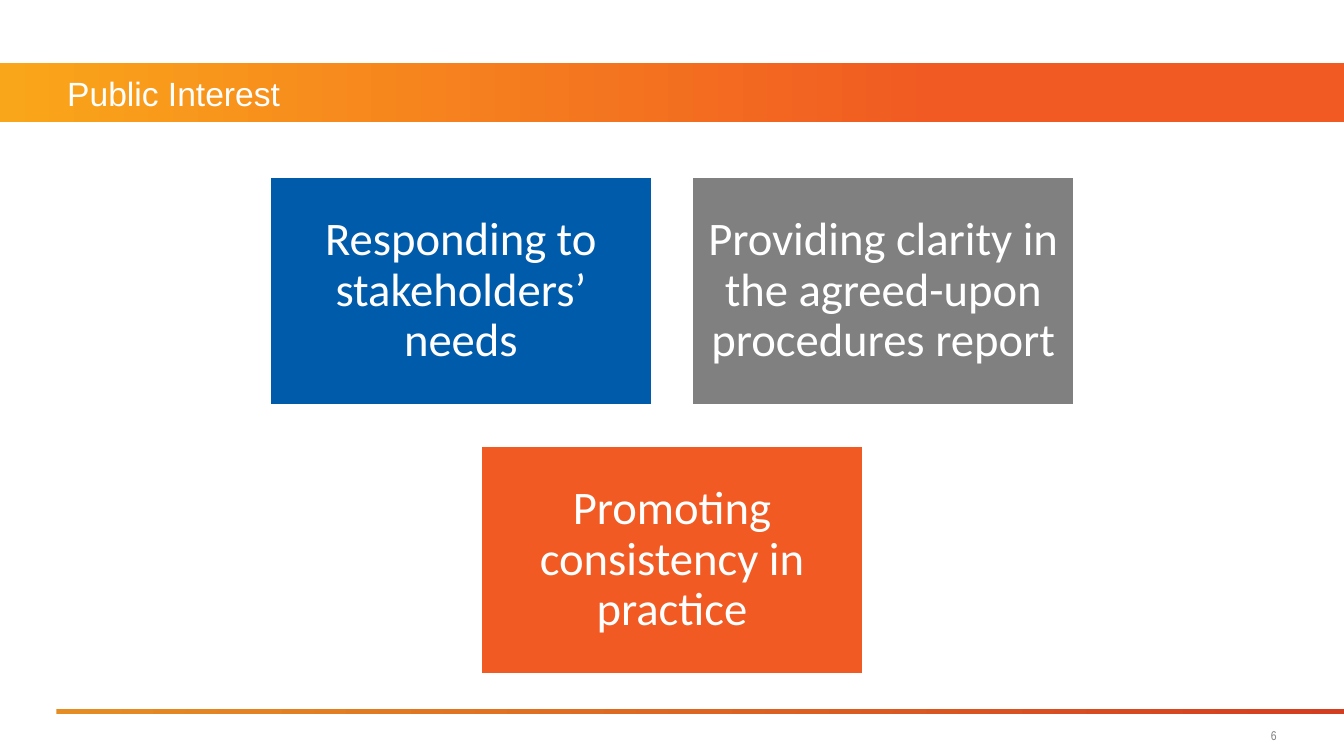
from pptx import Presentation
from pptx.dml.color import RGBColor
from pptx.enum.shapes import MSO_SHAPE
from pptx.enum.text import MSO_ANCHOR, MSO_AUTO_SIZE, PP_ALIGN
from pptx.util import Inches, Pt

W = Inches(10)
H = W * 9 // 16
COLORS = {
    "white": "FFFFFF", "amber": "FAA61A", "orange": "F15A22", "blue": "005BAA",
    "gray": "808080", "ochre": "E58D23", "red": "D53D20",
}
TITLE = {"size": Pt(18), "name": "Arial", "bold": False}
CARD = {"size": Pt(25), "name": "Calibri"}
NUMBER = {"size": Pt(6.8), "name": "Arial Narrow"}
CARDS = [
    [("Responding to stakeholders’ needs", "blue"),
     ("Providing clarity in the agreed-upon procedures report", "gray")],
    [("Promoting consistency in practice", "orange")],
]


def rgb(name):
    return RGBColor.from_string(COLORS[name])


def percent(x, y, w, h):
    return tuple(int(side * n / 100) for side, n in zip((W, H, W, H), (x, y, w, h)))


def place(sp, box):
    for key, value in zip(("left", "top", "width", "height"), box):
        setattr(sp, key, value)


def write(sp, text, font, color, align, inset=0):
    tf = sp.text_frame
    frame = {"word_wrap": True, "auto_size": MSO_AUTO_SIZE.NONE,
             "vertical_anchor": MSO_ANCHOR.MIDDLE}
    frame.update({f"margin_{side}": inset for side in ("left", "top", "right", "bottom")})
    for key, value in frame.items():
        setattr(tf, key, value)
    p = tf.paragraphs[0]
    p.alignment = align
    r = p.add_run()
    r.text = text
    for key, value in font.items():
        setattr(r.font, key, value)
    r.font.color.rgb = rgb(color)
    return p


def add_rect(s, box):
    sp = s.shapes.add_shape(MSO_SHAPE.RECTANGLE, *box)
    sp.shadow.inherit = False
    return sp


def add_band(s, box, stops):
    sp = add_rect(s, box)
    sp.line.fill.background()
    sp.fill.gradient()
    sp.fill.gradient_angle = 0
    for stop, (position, color) in zip(sp.fill.gradient_stops, stops):
        stop.position = position
        stop.color.rgb = rgb(color)


def add_header(s, box, text):
    add_band(s, box, [(0, "amber"), (0.7, "orange")])
    x, y, w, h = box
    title = s.shapes.title
    place(title, (x + w // 20, y, w * 9 // 10, h))
    write(title, text, TITLE, "white", PP_ALIGN.LEFT)
    s.shapes.element.append(title.element)


def add_card(s, box, text, color):
    sp = add_rect(s, box)
    sp.fill.solid()
    sp.fill.fore_color.rgb = rgb(color)
    sp.line.color.rgb = rgb("white")
    sp.line.width = Pt(2)
    p = write(sp, text, CARD, "white", PP_ALIGN.CENTER, Inches(0.1))
    p.line_spacing = 0.9


def add_cards(s, box, rows):
    x, y, w, h = box
    columns = max(len(row) for row in rows)
    gap = w // 21
    card_w = (w - gap * (columns - 1)) // columns
    card_h = (h - gap * (len(rows) - 1)) // len(rows)
    for i, row in enumerate(rows):
        row_w = len(row) * (card_w + gap) - gap
        left = x + (w - row_w) // 2
        for j, (text, color) in enumerate(row):
            cell = (left + j * (card_w + gap), y + i * (card_h + gap), card_w, card_h)
            add_card(s, cell, text, color)


def add_footer(s, box, number):
    x, y, w, h = box
    add_band(s, (x, y, w, h // 8), [(0, "ochre"), (1, "red")])
    top = y + h * 22 // 100
    width = W * 3 // 10
    sp = s.shapes.add_textbox(W * 95 // 100 - width, top, width, y + h - top)
    write(sp, number, NUMBER, "gray", PP_ALIGN.RIGHT)


def main():
    prs = Presentation()
    prs.slide_width, prs.slide_height = W, H
    s = prs.slides.add_slide(prs.slide_layouts[5])
    add_header(s, percent(0, 8.35, 100, 7.8), "Public Interest")
    add_cards(s, percent(20, 23.3, 60, 66), CARDS)
    add_footer(s, percent(4.2, 93.75, 95.8, 5.7), "6")
    prs.save("out.pptx")


if __name__ == "__main__":
    main()
